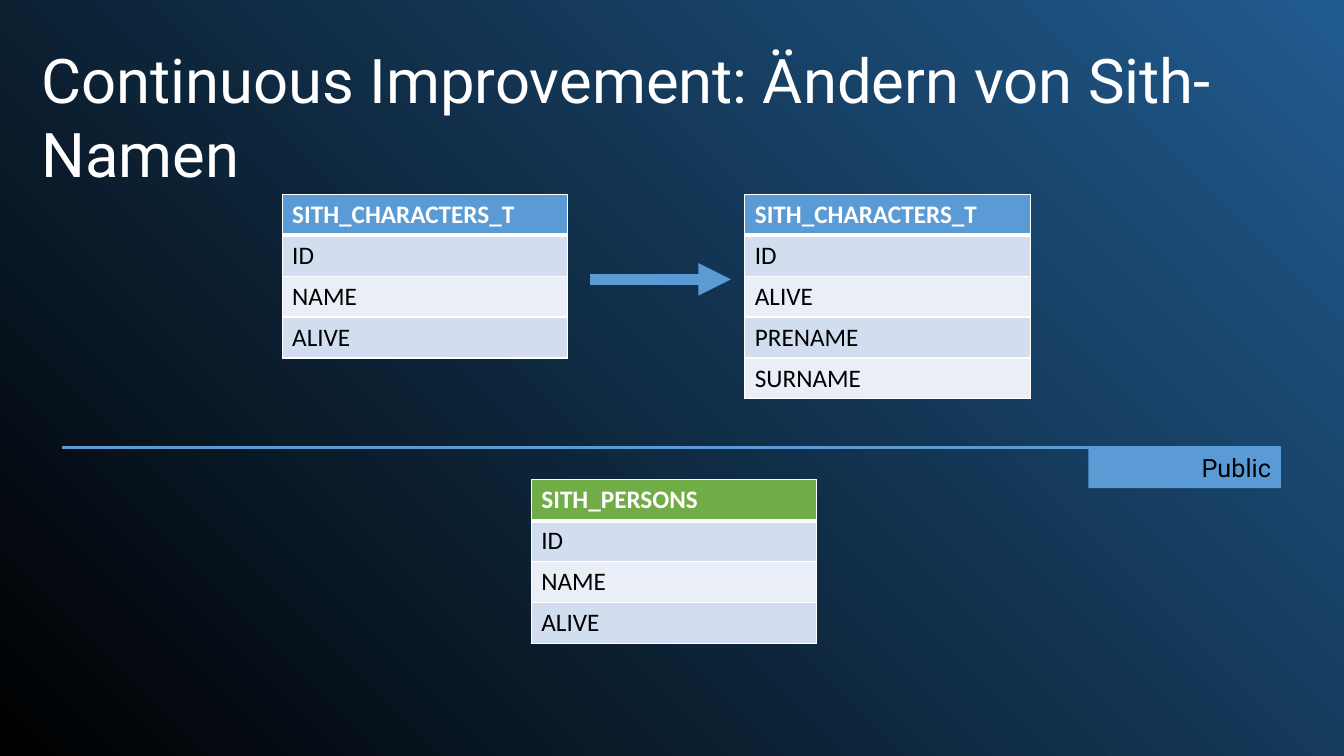
from dataclasses import dataclass

from lxml.etree import SubElement
from pptx import Presentation
from pptx.dml.color import RGBColor
from pptx.enum.shapes import MSO_CONNECTOR, MSO_SHAPE
from pptx.enum.text import MSO_ANCHOR, MSO_AUTO_SIZE, PP_ALIGN
from pptx.oxml.ns import qn
from pptx.slide import Slide
from pptx.table import _Cell
from pptx.text.text import TextFrame
from pptx.util import Cm, Pt

WHITE = RGBColor(0xFF, 0xFF, 0xFF)
BLACK = RGBColor(0x00, 0x00, 0x00)
NAVY = RGBColor(0x21, 0x5B, 0x8F)
BLUE = RGBColor(0x5B, 0x9B, 0xD5)
GREEN = RGBColor(0x70, 0xAD, 0x47)
BANDS = (RGBColor(0xD2, 0xDE, 0xEF), RGBColor(0xEA, 0xEF, 0xF7))

ROW = 1.03
WIDTH = 7.19
SPLIT = 11.28  # height of the line above the public part
LEFT, RIGHT = 1.57, 32.28


@dataclass
class Entity:
    left: float
    top: float
    name: str
    fields: list[str]
    color: RGBColor = BLUE


@dataclass
class Line:
    start: float
    end: float
    top: float
    weight: float
    arrow: bool = False


ENTITIES = [
    Entity(7.11, 4.9, "SITH_CHARACTERS_T", ["ID", "NAME", "ALIVE"]),
    Entity(18.77, 4.9, "SITH_CHARACTERS_T", ["ID", "ALIVE", "PRENAME", "SURNAME"]),
    Entity(13.39, 12.09, "SITH_PERSONS", ["ID", "NAME", "ALIVE"], GREEN),
]
LINES = [
    Line(14.88, 18.42, 7.04, 7.75, arrow=True),
    Line(LEFT, RIGHT, SPLIT, 2),
]


def write(frame: TextFrame, text: str, *, size: float = 18, font: str = "Roboto",
          color: RGBColor = BLACK, bold: bool = False,
          align: PP_ALIGN = PP_ALIGN.LEFT) -> None:
    frame.word_wrap = True
    para = frame.paragraphs[0]
    para.alignment = align
    run = para.add_run()
    run.text = text
    run.font.size = Pt(size)
    run.font.name = font
    run.font.bold = bold
    run.font.color.rgb = color


def edge(cell: _Cell, side: str, weight: float) -> None:
    line = SubElement(cell._tc.get_or_add_tcPr(), qn(f"a:ln{side}"), w=str(Pt(weight)))
    fill = SubElement(line, qn("a:solidFill"))
    SubElement(fill, qn("a:srgbClr"), val=str(WHITE))


def add_entity(slide: Slide, entity: Entity) -> None:
    texts = [entity.name, *entity.fields]
    table = slide.shapes.add_table(
        len(texts), 1, Cm(entity.left), Cm(entity.top),
        Cm(WIDTH), Cm(ROW * len(texts))).table
    for index, text in enumerate(texts):
        table.rows[index].height = Cm(ROW)
        cell = table.cell(index, 0)
        head = index == 0
        # The header's thick lower edge also tops the first field
        for side in "LRTB" if head else "LRB":
            edge(cell, side, 3 if head and side == "B" else 1)
        cell.fill.solid()
        cell.fill.fore_color.rgb = entity.color if head else BANDS[(index - 1) % 2]
        write(cell.text_frame, text, font="Calibri", bold=head,
              color=WHITE if head else BLACK)


def add_line(slide: Slide, line: Line) -> None:
    link = slide.shapes.add_connector(
        MSO_CONNECTOR.STRAIGHT, Cm(line.start), Cm(line.top), Cm(line.end), Cm(line.top))
    link.line.color.rgb = BLUE
    link.line.width = Pt(line.weight)
    if line.arrow:
        SubElement(link.line._get_or_add_ln(), qn("a:tailEnd"), type="triangle")
    SubElement(link._element.spPr, qn("a:effectLst"))


def add_title(slide: Slide, text: str) -> None:
    title = slide.shapes.title
    title.left, title.top = Cm(0.79), Cm(0.81)
    title.width, title.height = Cm(32.39), Cm(2.13)
    frame = title.text_frame
    frame.vertical_anchor = MSO_ANCHOR.TOP
    frame.margin_top = Cm(0.25)
    frame.auto_size = MSO_AUTO_SIZE.SHAPE_TO_FIT_TEXT
    write(frame, text, size=44, color=WHITE)


def add_label(slide: Slide, text: str) -> None:
    width = 4.85
    label = slide.shapes.add_shape(
        MSO_SHAPE.RECTANGLE, Cm(RIGHT - width), Cm(SPLIT), Cm(width), Cm(1.02))
    label.shadow.inherit = False
    label.fill.solid()
    label.fill.fore_color.rgb = BLUE
    label.line.fill.background()
    label.text_frame.auto_size = MSO_AUTO_SIZE.SHAPE_TO_FIT_TEXT
    write(label.text_frame, text, align=PP_ALIGN.RIGHT)


def main() -> None:
    deck = Presentation()
    deck.slide_width, deck.slide_height = Cm(33.87), Cm(19.05)
    slide = deck.slides.add_slide(deck.slide_layouts[5])

    # Background
    back = slide.background.fill
    back.gradient()
    back.gradient_angle = 45
    for stop, place, color in zip(back.gradient_stops, (0, 1), (BLACK, NAVY)):
        stop.position = place
        stop.color.rgb = color

    # Title, tables, lines and label
    add_title(slide, "Continuous Improvement: Ändern von Sith-Namen")
    for entity in ENTITIES:
        add_entity(slide, entity)
    for line in LINES:
        add_line(slide, line)
    add_label(slide, "Public")

    deck.save("out.pptx")


if __name__ == "__main__":
    main()
